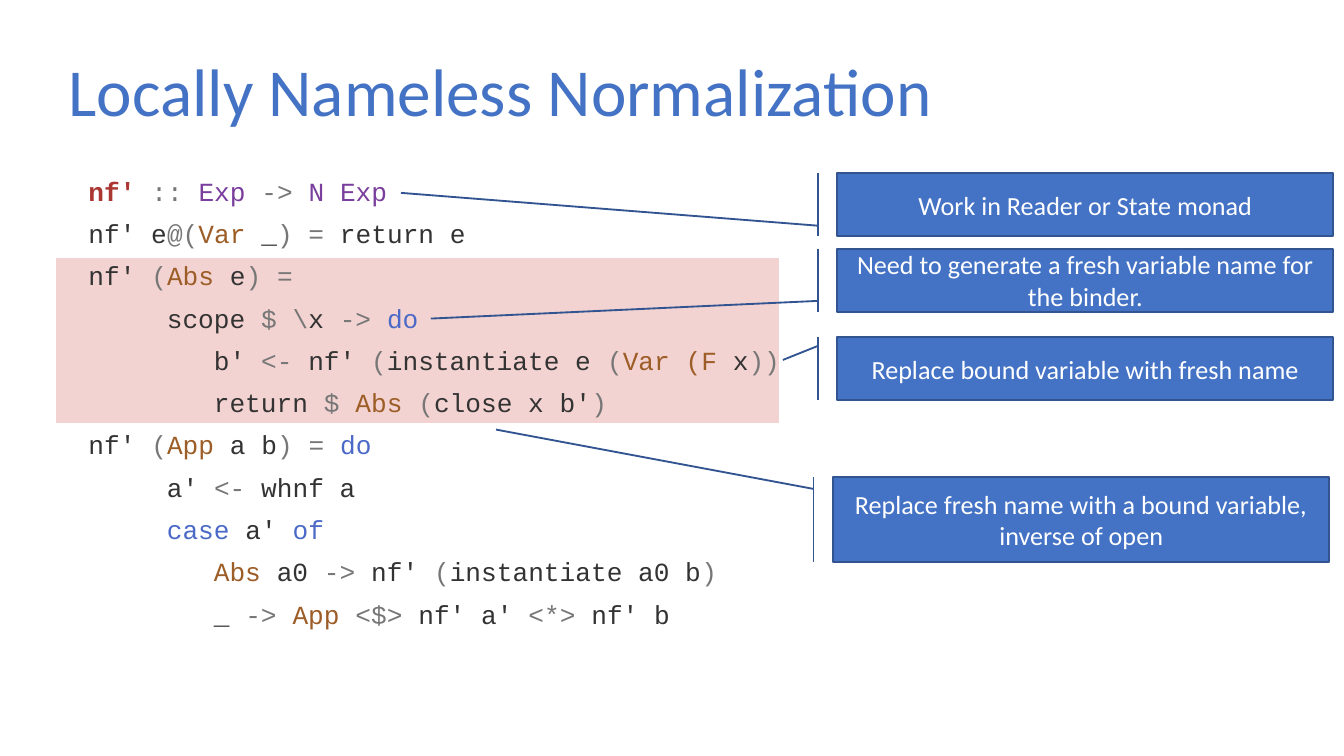
from pptx import Presentation
from pptx.dml.color import RGBColor
from pptx.enum.shapes import MSO_SHAPE
from pptx.enum.text import MSO_ANCHOR, MSO_AUTO_SIZE, PP_ALIGN
from pptx.util import Pt

THEME = {
    "colors": {
        "accent": "4472C4", "outline": "325491", "highlight": "F3D3D1", "white": "FFFFFF",
        "signature": "AA3731", "symbol": "777777", "type": "7A3E9D",
        "plain": "333333", "constructor": "9C5D27", "keyword": "4B69C6",
    },
    "title": {"name": "Calibri", "size": Pt(36)},
    "label": {"name": "Calibri", "size": Pt(14)},
    "code": {"name": "Courier New", "size": Pt(14)},
}
CODE_CHARACTER_WIDTH = 8.4


def apply_format(target, values, color=None):
    for attribute, value in values.items():
        setattr(target, attribute, value)
    if color:
        target.color.rgb = RGBColor.from_string(THEME["colors"][color])


def add_filled(kind, box, fill, outline, outline_width):
    shape = slide.shapes.add_shape(kind, *map(Pt, box))
    shape.shadow.inherit = False
    shape.fill.solid()
    shape.fill.fore_color.rgb = RGBColor.from_string(THEME["colors"][fill])
    apply_format(shape.line, {"width": Pt(outline_width)}, outline)
    return shape


presentation = Presentation()
apply_format(presentation, {"slide_width": Pt(720), "slide_height": Pt(405)})
slide = presentation.slides.add_slide(presentation.slide_layouts[5])

heading = slide.shapes.title
apply_format(heading, {"left": Pt(29.5), "top": Pt(18.7), "width": Pt(620.6), "height": Pt(64)})
heading.text_frame.text = "Locally Nameless Normalization"
apply_format(heading.text_frame, {
    "vertical_anchor": MSO_ANCHOR.MIDDLE, "auto_size": MSO_AUTO_SIZE.NONE, "word_wrap": True,
})
heading_line = heading.text_frame.paragraphs[0]
apply_format(heading_line, {"alignment": PP_ALIGN.LEFT, "line_spacing": 0.9})
apply_format(heading_line.runs[0].font, THEME["title"], "accent")

add_filled(MSO_SHAPE.RECTANGLE, (29.5, 137.5, 388.8, 90), "highlight", "white", 1.5)

code_lines = [
    (0, [("signature", "nf' "), ("symbol", ":: "), ("type", "Exp "), ("symbol", "-> "),
         ("type", "N Exp")]),
    (0, [("plain", "nf' e"), ("symbol", "@("), ("constructor", "Var"), ("plain", " _"),
         ("symbol", ") ="), ("plain", " return e")]),
    (0, [("plain", "nf' "), ("symbol", "("), ("constructor", "Abs"), ("plain", " e"),
         ("symbol", ") =")]),
    (5, [("plain", "scope "), ("symbol", "$ \\"), ("plain", "x "), ("symbol", "-> "),
         ("keyword", "do")]),
    (8, [("plain", "b' "), ("symbol", "<- "), ("plain", "nf' "), ("symbol", "("),
         ("plain", "instantiate e "), ("symbol", "("), ("constructor", "Var (F"),
         ("plain", " x"), ("symbol", "))")]),
    (8, [("plain", "return "), ("symbol", "$ "), ("constructor", "Abs "), ("symbol", "("),
         ("plain", "close x b'"), ("symbol", ")")]),
    (0, [("plain", "nf' "), ("symbol", "("), ("constructor", "App"), ("plain", " a b"),
         ("symbol", ") = "), ("keyword", "do")]),
    (5, [("plain", "a' "), ("symbol", "<- "), ("plain", "whnf a")]),
    (5, [("keyword", "case"), ("plain", " a' "), ("keyword", "of")]),
    (8, [("constructor", "Abs"), ("plain", " a0 "), ("symbol", "-> "), ("plain", "nf' "),
         ("symbol", "("), ("plain", "instantiate a0 b"), ("symbol", ")")]),
    (8, [("plain", "_ "), ("symbol", "-> "), ("constructor", "App "), ("symbol", "<$> "),
         ("plain", "nf' a' "), ("symbol", "<*> "), ("plain", "nf' b")]),
]
listing = slide.shapes.add_textbox(Pt(40.3), Pt(92.2), Pt(673.9), Pt(272.9)).text_frame
listing.word_wrap = True
for index, (indent, tokens) in enumerate(code_lines):
    code_line = listing.add_paragraph() if index else listing.paragraphs[0]
    apply_format(code_line, {"line_spacing": 0.9, "space_before": Pt(7.5)})
    if indent:
        code_line._p.get_or_add_pPr().set("marL", str(Pt(indent * CODE_CHARACTER_WIDTH)))
    for role, text in tokens:
        token = code_line.add_run()
        token.text = text
        apply_format(token.font, {**THEME["code"], "bold": role == "signature"}, role)

callouts = [
    ("Need to generate a fresh variable name for the binder.",
     (448.6, 133.2, 265.7, 33.8), (0.83, -0.04, 1.11, -0.82)),
    ("Replace bound variable with fresh name",
     (448.6, 180.7, 265.7, 33.8), (0.14, -0.04, 0.36, -0.11)),
    ("Replace fresh name with a bound variable,\ninverse of open",
     (446.4, 255.6, 265.7, 45.4), (0.14, -0.04, -0.56, -0.68)),
    ("Work in Reader or State monad",
     (448.6, 92.9, 265.7, 33.8), (0.83, -0.04, 0.31, -0.88)),
]
for text, box, pointer in callouts:
    callout = add_filled(MSO_SHAPE.LINE_CALLOUT_1_BORDER_AND_ACCENT_BAR, box, "accent", "outline", 1)
    for position, value in enumerate(pointer):
        callout.adjustments[position] = value
    callout.text_frame.text = text
    apply_format(callout.text_frame, {"vertical_anchor": MSO_ANCHOR.MIDDLE, "word_wrap": True})
    for label_line in callout.text_frame.paragraphs:
        label_line.alignment = PP_ALIGN.CENTER
        apply_format(label_line.runs[0].font, THEME["label"], "white")

presentation.save("out.pptx")
